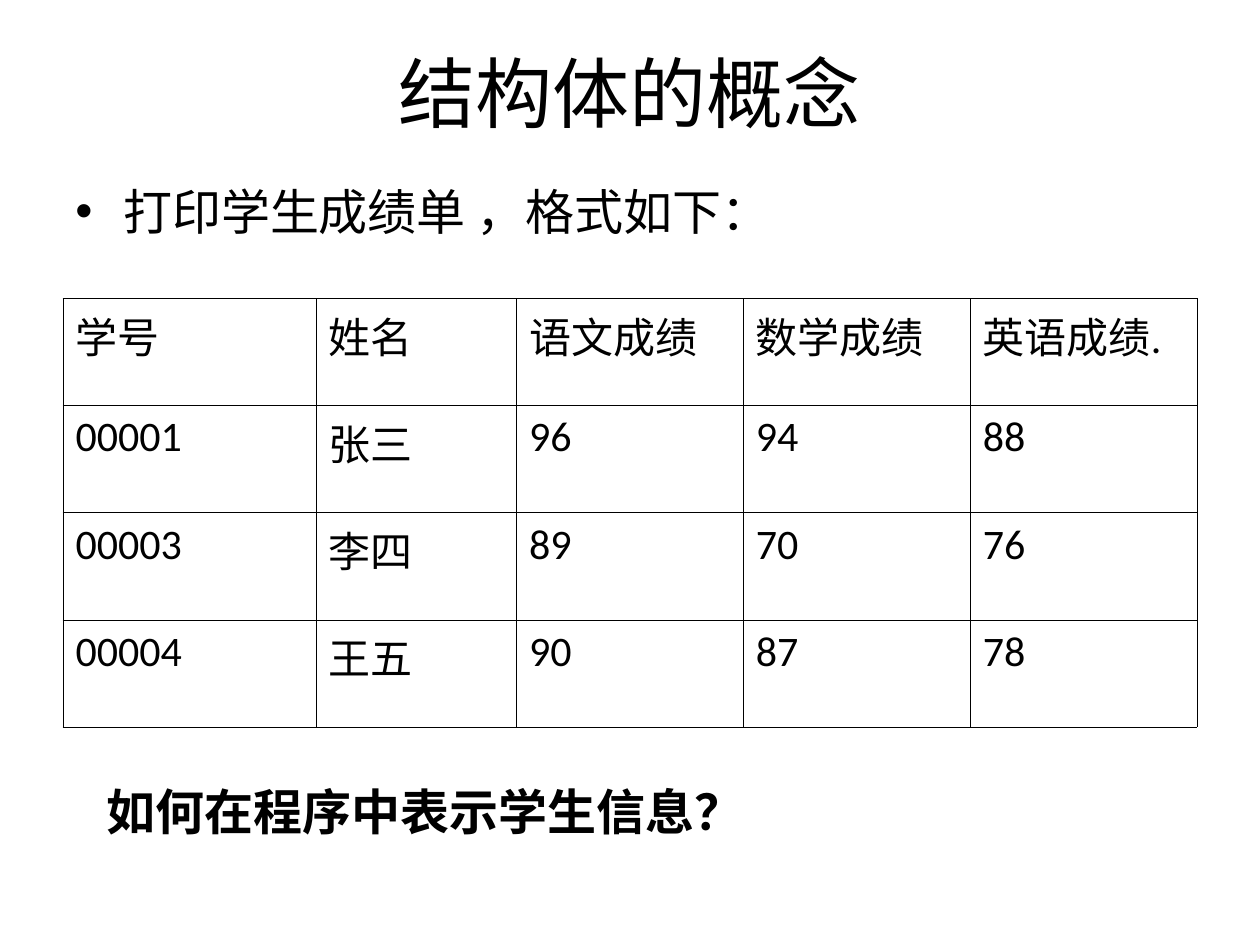
from dataclasses import dataclass

from lxml.etree import SubElement
from pptx import Presentation
from pptx.dml.color import RGBColor
from pptx.enum.text import MSO_ANCHOR, PP_ALIGN
from pptx.oxml import parse_xml
from pptx.oxml.ns import nsdecls, qn
from pptx.util import Inches, Pt

BLACK = RGBColor(0, 0, 0)
BORDER_WIDTH = Pt(0.45)
COLUMN_WIDTHS = (2.01, 1.59, 1.8, 1.8, 1.8)
ROW_HEIGHT = 0.85


@dataclass(frozen=True)
class Score:
    number: str
    name: str
    chinese: str
    maths: str
    english: str

    def values(self) -> tuple[str, ...]:
        return self.number, self.name, self.chinese, self.maths, self.english


SCORES = (
    Score("学号", "姓名", "语文成绩", "数学成绩", "英语成绩."),
    Score("00001", "张三", "96", "94", "88"),
    Score("00003", "李四", "89", "70", "76"),
    Score("00004", "王五", "90", "87", "78"),
)


def write(tf, text: str, *, size: float, font: str = "Calibri", bold: bool = False,
          align=PP_ALIGN.LEFT, anchor=MSO_ANCHOR.TOP, bullet: bool = False) -> None:
    tf.word_wrap = True
    tf.vertical_anchor = anchor
    p = tf.paragraphs[0]
    p.alignment = align
    if bullet:
        pPr = p._p.get_or_add_pPr()
        pPr.set("marL", str(Inches(0.38)))
        pPr.set("indent", str(Inches(-0.38)))
        SubElement(pPr, qn("a:buFont"), typeface="Arial")
        SubElement(pPr, qn("a:buChar"), char="•")
    r = p.add_run()
    r.text = text
    r.font.size = Pt(size)
    r.font.name = font
    r.font.bold = bold
    r.font.color.rgb = BLACK


def add_text(s, text: str, left: float, top: float, width: float, height: float,
             **style) -> None:
    sp = s.shapes.add_textbox(Inches(left), Inches(top), Inches(width), Inches(height))
    write(sp.text_frame, text, **style)


def set_borders(cell) -> None:
    tcPr = cell._tc.get_or_add_tcPr()
    for i, side in enumerate(("lnL", "lnR", "lnT", "lnB")):
        tcPr.insert(i, parse_xml(
            f'<a:{side} {nsdecls("a")} w="{BORDER_WIDTH}">'
            f'<a:solidFill><a:srgbClr val="{BLACK}"/></a:solidFill></a:{side}>'))


def add_score_table(s, scores: tuple[Score, ...], left: float, top: float) -> None:
    table = s.shapes.add_table(
        len(scores), len(COLUMN_WIDTHS), Inches(left), Inches(top),
        Inches(sum(COLUMN_WIDTHS)), Inches(ROW_HEIGHT * len(scores))).table
    table.first_row = table.horz_banding = False
    for column, width in zip(table.columns, COLUMN_WIDTHS):
        column.width = Inches(width)
    for row, score in zip(table.rows, scores):
        row.height = Inches(ROW_HEIGHT)
        for cell, value in zip(row.cells, score.values()):
            cell.fill.background()
            set_borders(cell)
            write(cell.text_frame, value, size=24)


def main() -> None:
    """Build the slide that introduces structures with a score sheet."""
    prs = Presentation()
    prs.slide_width, prs.slide_height = Inches(10), Inches(7.5)
    s = prs.slides.add_slide(prs.slide_layouts[6])
    add_text(s, "结构体的概念", 0.5, 0.3, 9, 0.85, size=44,
             align=PP_ALIGN.CENTER, anchor=MSO_ANCHOR.MIDDLE)
    add_text(s, "打印学生成绩单 ，格式如下：", 0.5, 1.39, 9, 0.98, size=28, bullet=True)
    add_score_table(s, SCORES, 0.5, 2.37)
    add_text(s, "如何在程序中表示学生信息？", 0.75, 6.15, 8.18, 0.57, size=28,
             font="Arial", bold=True)
    prs.save("out.pptx")


if __name__ == "__main__":
    main()
